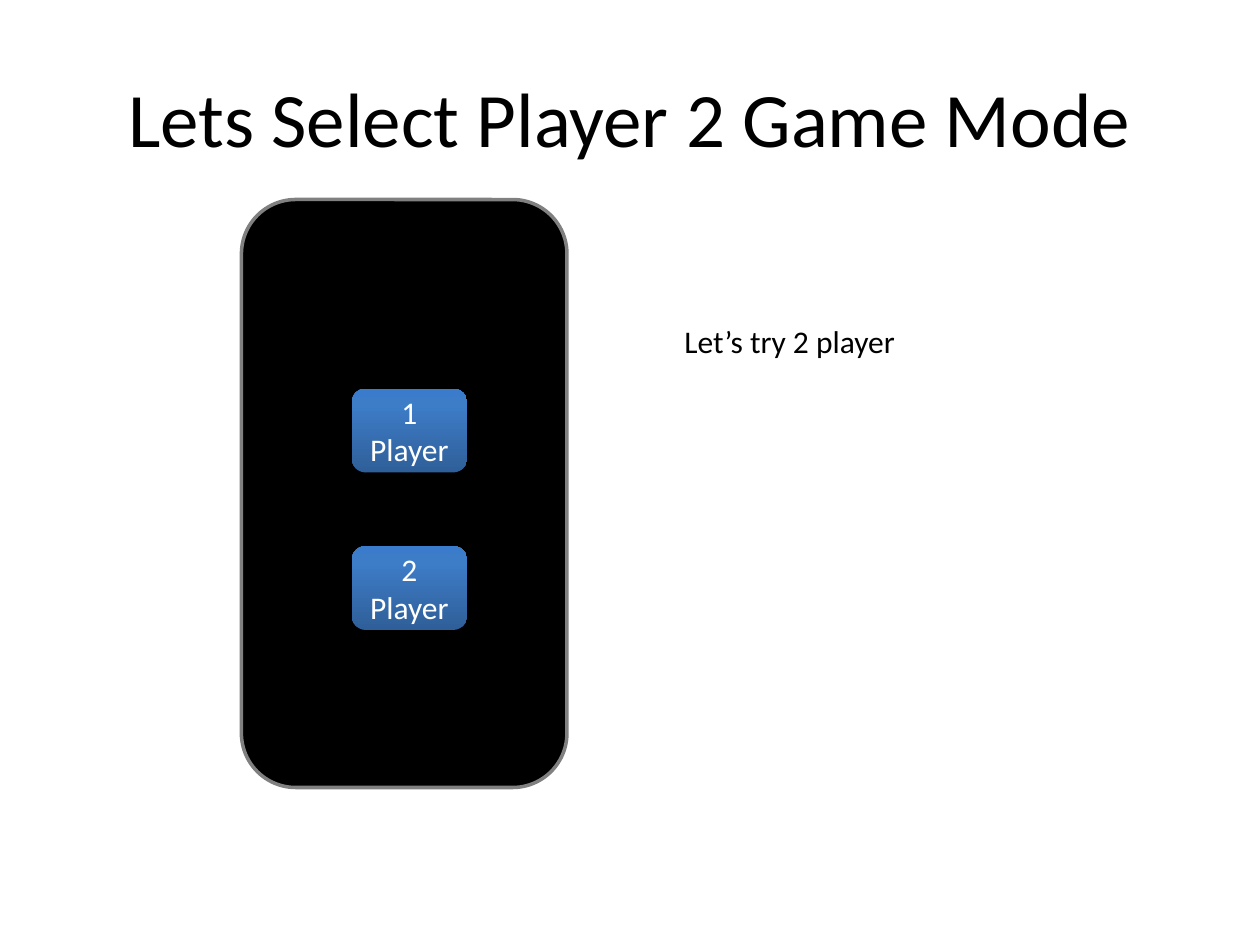
from copy import deepcopy
from dataclasses import dataclass

from pptx import Presentation
from pptx.dml.color import RGBColor as Rgb
from pptx.enum.shapes import MSO_SHAPE as Kind
from pptx.enum.text import MSO_ANCHOR as Anchor, PP_ALIGN as Align
from pptx.util import Pt

FONT = "Calibri"
HEX = {"black": "000000", "white": "FFFFFF", "edge": "808080",
       "deep": "2F5F99", "mid": "3D7CC7", "top": "3A7CCB"}
FADE = [(0, "deep"), (0.8, "mid"), (1, "top")]


@dataclass
class Box:
    left: float
    top: float
    width: float
    height: float

    def place(self) -> tuple:
        return tuple(map(Pt, (self.left, self.top, self.width, self.height)))


def tint(name: str) -> Rgb:
    return Rgb.from_string(HEX[name])


def write(shape, text: str, size: int, hue: str, align=Align.CENTER,
          anchor=Anchor.MIDDLE) -> None:
    frame = shape.text_frame
    frame.word_wrap = True
    frame.vertical_anchor = anchor
    frame.text = text
    line = frame.paragraphs[0]
    line.alignment = align
    font = line.runs[0].font
    font.name, font.size = FONT, Pt(size)
    font.color.rgb = tint(hue)


def label(slide, box: Box, text: str, size: int, **style) -> None:
    write(slide.shapes.add_textbox(*box.place()), text, size, "black", **style)


def panel(slide, box: Box):
    shape = slide.shapes.add_shape(Kind.ROUNDED_RECTANGLE, *box.place())
    shape.shadow.inherit = False
    return shape


def phone(slide, box: Box) -> None:
    body = panel(slide, box)
    body.fill.solid()
    body.fill.fore_color.rgb = tint("black")
    body.line.color.rgb = tint("edge")
    body.line.width = Pt(2)


def fade(fill) -> None:
    """Blend upward through the FADE colours."""
    fill.gradient()
    fill.gradient_angle = 90
    first = fill._fill._gradFill.gsLst[0]
    first.addnext(deepcopy(first))
    for stop, (pos, hue) in zip(fill.gradient_stops, FADE):
        stop.position = pos
        stop.color.rgb = tint(hue)


def button(slide, box: Box, text: str) -> None:
    key = panel(slide, box)
    fade(key.fill)
    key.line.fill.background()
    write(key, text, 18, "white")


def main() -> None:
    deck = Presentation()
    deck.slide_width, deck.slide_height = Pt(720), Pt(540)
    slide = deck.slides.add_slide(deck.slide_layouts[6])
    label(slide, Box(36, 21.6, 648, 90), "Lets Select Player 2 Game Mode", 44)
    phone(slide, Box(138, 114, 186, 336))
    for row in range(2):
        button(slide, Box(201, 222 + 90 * row, 66, 48), f"{row + 1} Player")
    label(slide, Box(384, 180.7, 252, 29), "Let’s try 2 player", 18,
          align=Align.LEFT, anchor=Anchor.TOP)
    deck.save("out.pptx")


if __name__ == "__main__":
    main()
